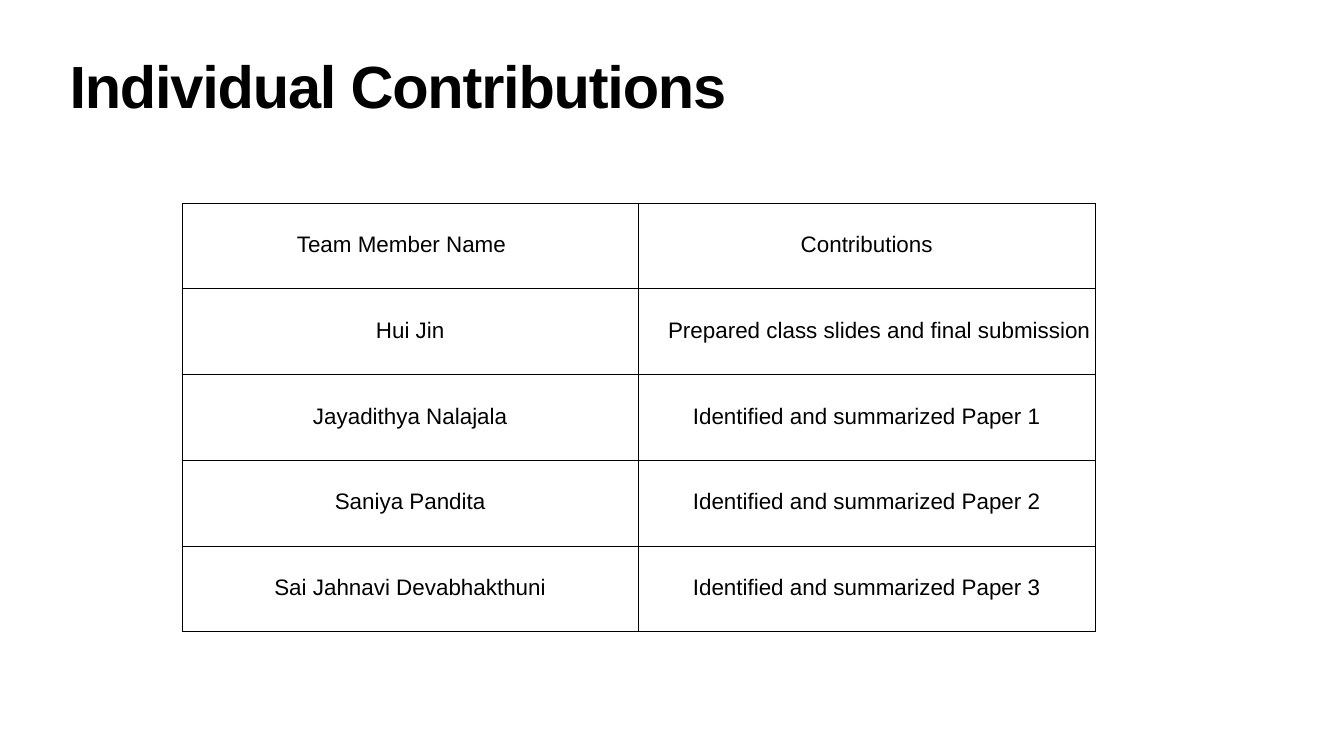
from typing import NamedTuple

from lxml.etree import SubElement
from pptx import Presentation
from pptx.dml.color import RGBColor
from pptx.enum.text import MSO_ANCHOR as Anchor, PP_ALIGN as Align
from pptx.oxml.ns import qn
from pptx.util import Inches, Pt

SLIDE_WIDTH, SLIDE_HEIGHT = 26.67, 15
TABLE_LEFT, TABLE_TOP = 3.61, 4.03
COLUMN_WIDTH, ROW_HEIGHT = 9.06, 1.7
INSET = Inches(0.06)
FONT, BLACK, WHITE = "Arial", "000000", "FFFFFF"


class Contribution(NamedTuple):
    member: str
    work: str


CONTRIBUTIONS = [
    Contribution("Team Member Name\t", "Contributions"),
    Contribution("Hui Jin", "\tPrepared class slides and final submission"),
    Contribution("Jayadithya Nalajala", "Identified and summarized Paper 1"),
    Contribution("Saniya Pandita", "Identified and summarized Paper 2"),
    Contribution("Sai Jahnavi Devabhakthuni", "Identified and summarized Paper 3"),
]


def color(value: str) -> RGBColor:
    return RGBColor.from_string(value)


def add_run(para, text: str, size: float, bold: bool = False):
    span = para.add_run()
    span.text = text
    span.font.name = FONT
    span.font.size = Pt(size)
    span.font.bold = bold
    span.font.color.rgb = color(BLACK)
    return span


def set_insets(holder) -> None:
    holder.margin_left = holder.margin_right = INSET
    holder.margin_top = holder.margin_bottom = INSET


def add_title(page, text: str) -> None:
    box = page.shapes.add_textbox(Inches(1.32), Inches(1.18), Inches(24.03), Inches(1.57))
    frame = box.text_frame
    frame.word_wrap = True
    frame.vertical_anchor = Anchor.TOP
    set_insets(frame)
    para = frame.paragraphs[0]
    para.line_spacing = 0.8
    span = add_run(para, text, 85, bold=True)
    span.font._element.set("spc", "-170")


def add_borders(cell) -> None:
    """Draw the four cell borders; the schema wants them ahead of the fill."""
    properties = cell._tc.get_or_add_tcPr()
    for position, side in enumerate(("lnL", "lnR", "lnT", "lnB")):
        line = SubElement(properties, qn(f"a:{side}"), w=str(Pt(1)))
        fill = SubElement(line, qn("a:solidFill"))
        SubElement(fill, qn("a:srgbClr"), val=BLACK)
        properties.insert(position, line)


def fill_cell(cell, text: str) -> None:
    cell.fill.solid()
    cell.fill.fore_color.rgb = color(WHITE)
    cell.vertical_anchor = Anchor.MIDDLE
    set_insets(cell)
    add_borders(cell)
    para = cell.text_frame.paragraphs[0]
    para.alignment = Align.CENTER
    para.line_spacing = 0.9
    para.space_before = Pt(45)
    add_run(para, text, 32)


def add_contributions(page, rows: list[Contribution]) -> None:
    columns = len(Contribution._fields)
    table = page.shapes.add_table(
        len(rows), columns, Inches(TABLE_LEFT), Inches(TABLE_TOP),
        Inches(columns * COLUMN_WIDTH), Inches(len(rows) * ROW_HEIGHT),
    ).table
    table.first_row = table.horz_banding = False
    for row_index, row in enumerate(rows):
        for column_index, text in enumerate(row):
            fill_cell(table.cell(row_index, column_index), text)


def main() -> None:
    deck = Presentation()
    deck.slide_width, deck.slide_height = Inches(SLIDE_WIDTH), Inches(SLIDE_HEIGHT)
    page = deck.slides.add_slide(deck.slide_layouts[6])
    add_title(page, "Individual Contributions")
    add_contributions(page, CONTRIBUTIONS)
    deck.save("out.pptx")


if __name__ == "__main__":
    main()
